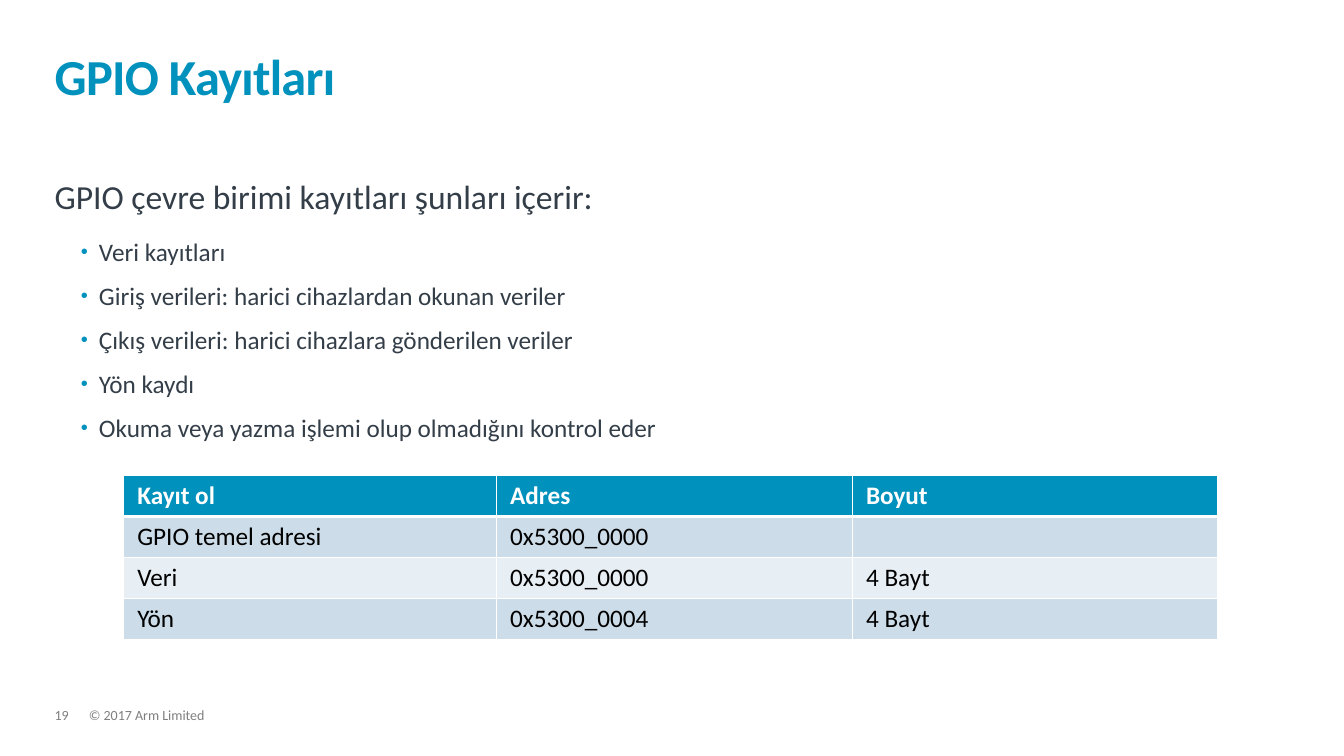
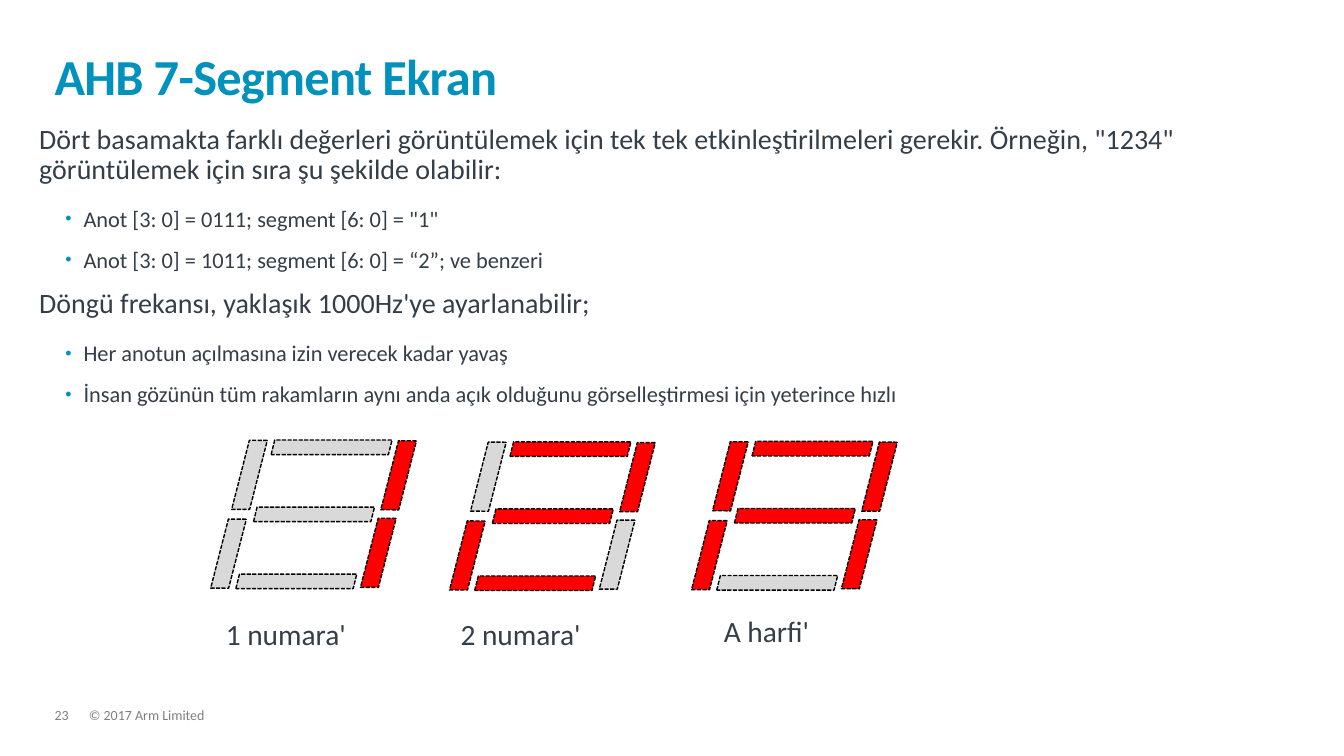
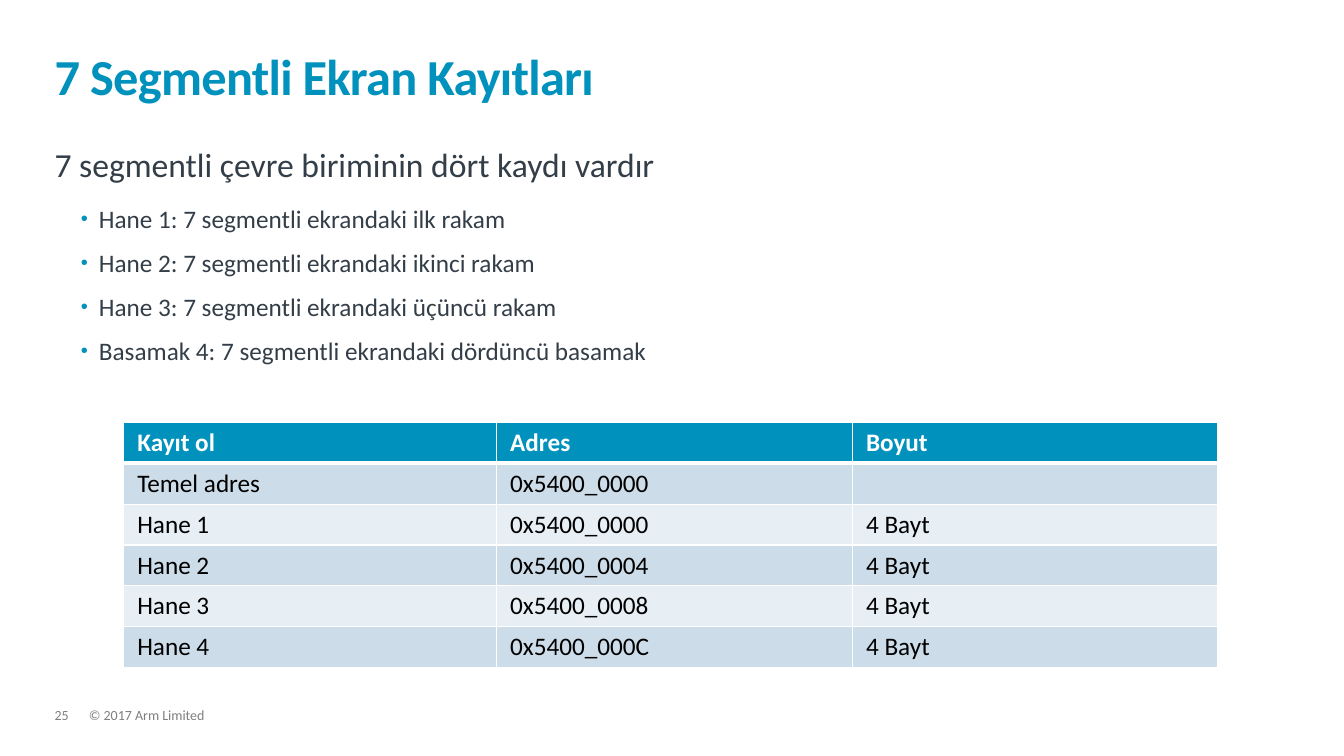
from dataclasses import dataclass
from typing import Any, NamedTuple

from lxml import etree
from pptx import Presentation
from pptx.dml.color import RGBColor
from pptx.enum.dml import MSO_LINE
from pptx.enum.shapes import MSO_SHAPE
from pptx.enum.text import MSO_ANCHOR, MSO_AUTO_SIZE, PP_ALIGN
from pptx.oxml.ns import qn
from pptx.util import Pt

LEFT = PP_ALIGN.LEFT
TOP, MIDDLE, BOTTOM = MSO_ANCHOR.TOP, MSO_ANCHOR.MIDDLE, MSO_ANCHOR.BOTTOM
NO_AUTOFIT = MSO_AUTO_SIZE.NONE
PARALLELOGRAM = MSO_SHAPE.PARALLELOGRAM
SHORT_DASH = MSO_LINE.SQUARE_DOT
TITLE_AND_CONTENT = 1


@dataclass(frozen=True)
class Theme:
    font: str = "Calibri"
    accent: str = "0091BD"
    text: str = "333E48"
    muted: str = "7F7F7F"
    white: str = "FFFFFF"
    black: str = "000000"
    band_dark: str = "CCDCE8"
    band_light: str = "E7EEF4"
    lit: str = "FF0000"
    unlit: str = "D9D9D9"
    title_size: float = 36
    label_size: float = 21
    table_size: float = 18
    footer_size: float = 10


THEME = Theme()


class Box(NamedTuple):
    left: float
    top: float
    width: float
    height: float


class Item(NamedTuple):
    text: str
    level: int = 1


class Segment(NamedTuple):
    box: Box  # relative to the top bar of the digit
    upright: bool = False


class Digit(NamedTuple):
    left: float
    top: float
    lit: str
    label: str
    label_box: Box


@dataclass(frozen=True)
class Page:
    number: int
    title: str
    body_box: Box
    sizes: tuple[float, float]
    items: list[Item]
    table_top: float = 0
    rows: tuple[tuple[str, str, str], ...] = ()
    digits: tuple[Digit, ...] = ()


SLIDE_W, SLIDE_H = 960, 540
MARGIN, CONTENT_W = 39, 880.5
TITLE_BOX = Box(MARGIN, 23, CONTENT_W, 52.5)
NUMBER_BOX = Box(MARGIN, 506, 24.5, 11)
COPYRIGHT_BOX = Box(63.5, 506, 657, 11)

TABLE_LEFT, ROW_H = 88.5, 29.2
COL_WIDTHS = (266.4, 254.2, 260.6)
TABLE_HEADER = ("Kayıt ol", "Adres", "Boyut")

BAR_W, BAR_H, BAR_SHIFT, BAR_STEP = 86.4, 10.4, -12.6, 47.9
UPRIGHT_L, UPRIGHT_T = 54, 12.4
UPRIGHT_ANGLE, UPRIGHT_SLANT = 284.4, 0.25
SEGMENTS = {
    name: Segment(Box(i * BAR_SHIFT, i * BAR_STEP, BAR_W, BAR_H))
    for i, name in enumerate("agd")
} | {
    name: Segment(Box(x, y, UPRIGHT_L, UPRIGHT_T), True)
    for name, x, y in (("f", -42.5, 18.7), ("e", -57.5, 75),
                       ("b", 64, 19), ("c", 49.5, 74.4))
}


def rgb(value: str) -> RGBColor:
    return RGBColor.from_string(value)


def place(sp: Any, box: Box) -> None:
    for name, value in box._asdict().items():
        setattr(sp, name, Pt(value))


def set_all(target: Any, values: dict[str, Any]) -> None:
    for name, value in values.items():
        setattr(target, name, value)


def setup_frame(tf: Any, anchor: Any = TOP) -> None:
    """Remove the insets and fix the size of a text frame."""
    set_all(tf, {"margin_left": 0, "margin_top": 0, "margin_right": 0,
                 "margin_bottom": 0, "word_wrap": True,
                 "auto_size": NO_AUTOFIT, "vertical_anchor": anchor})


def write(p: Any, text: str, size: float, color: str, bold: bool = False,
          spacing: float = 0.9, after: float = 0) -> Any:
    set_all(p, {"alignment": LEFT, "line_spacing": spacing,
                "space_before": Pt(0), "space_after": Pt(after)})
    r = p.add_run()
    r.text = text
    set_all(r.font, {"name": THEME.font, "size": Pt(size), "bold": bold})
    r.font.color.rgb = rgb(color)
    return r


def set_bullet(p: Any, level: int) -> None:
    p.level = level
    pPr = p._p.get_or_add_pPr()
    indent, hang = (31.7, -13) if level else (0, 0)
    pPr.set("marL", str(Pt(indent)))
    pPr.set("indent", str(Pt(hang)))
    if not level:
        etree.SubElement(pPr, qn("a:buNone"))
        return
    color = etree.SubElement(pPr, qn("a:buClr"))
    etree.SubElement(color, qn("a:srgbClr"), val=THEME.accent)
    etree.SubElement(pPr, qn("a:buSzPct"), val="80000")
    etree.SubElement(pPr, qn("a:buFont"), typeface="Arial")
    etree.SubElement(pPr, qn("a:buChar"), char="•")


def add_label(slide: Any, text: str, box: Box, size: float, color: str) -> None:
    sp = slide.shapes.add_textbox(*map(Pt, box))
    setup_frame(sp.text_frame)
    write(sp.text_frame.paragraphs[0], text, size, color)


def add_title(slide: Any, text: str) -> None:
    sp = slide.shapes.title
    place(sp, TITLE_BOX)
    setup_frame(sp.text_frame, BOTTOM)
    r = write(sp.text_frame.paragraphs[0], text, THEME.title_size,
              THEME.accent, bold=True, spacing=0.85)
    r._r.get_or_add_rPr().set("spc", "-50")


def add_body(slide: Any, page: Page) -> None:
    sp = slide.placeholders[1]
    place(sp, page.body_box)
    tf = sp.text_frame
    setup_frame(tf)
    for i, item in enumerate(page.items):
        p = tf.add_paragraph() if i else tf.paragraphs[0]
        set_bullet(p, item.level)
        write(p, item.text, page.sizes[item.level], THEME.text,
              after=12 if item.level else 16)


def set_borders(cell: Any, top: float, bottom: float) -> None:
    tcPr = cell._tc.get_or_add_tcPr()
    for side, width in (("L", 1), ("R", 1), ("T", top), ("B", bottom)):
        ln = etree.SubElement(tcPr, qn(f"a:ln{side}"), w=str(Pt(width)))
        fill = etree.SubElement(ln, qn("a:solidFill"))
        etree.SubElement(fill, qn("a:srgbClr"), val=THEME.white)


def add_register_table(slide: Any, page: Page) -> None:
    rows = (TABLE_HEADER, *page.rows)
    frame = slide.shapes.add_table(
        len(rows), len(COL_WIDTHS), Pt(TABLE_LEFT), Pt(page.table_top),
        Pt(sum(COL_WIDTHS)), Pt(ROW_H * len(rows)))
    table = frame.table
    for column, width in zip(table.columns, COL_WIDTHS):
        column.width = Pt(width)
    for i, row in enumerate(rows):
        table.rows[i].height = Pt(ROW_H)
        header = i == 0
        band = THEME.band_dark if i % 2 else THEME.band_light
        for j, text in enumerate(row):
            cell = table.cell(i, j)
            set_borders(cell, top=3 if i == 1 else 1, bottom=3 if header else 1)
            cell.fill.solid()
            cell.fill.fore_color.rgb = rgb(THEME.accent if header else band)
            set_all(cell, {"margin_left": Pt(9.6), "margin_right": Pt(9.6),
                           "margin_top": Pt(3.6), "margin_bottom": Pt(3.6),
                           "vertical_anchor": TOP if header or j else MIDDLE})
            if text:
                write(cell.text_frame.paragraphs[0], text, THEME.table_size,
                      THEME.white if header else THEME.black,
                      bold=header, spacing=1.0)


def add_digit(slide: Any, digit: Digit) -> None:
    for name, segment in SEGMENTS.items():
        x, y, w, h = segment.box
        sp = slide.shapes.add_shape(PARALLELOGRAM, Pt(digit.left + x),
                                    Pt(digit.top + y), Pt(w), Pt(h))
        sp.shadow.inherit = False
        if segment.upright:
            sp.adjustments[0] = UPRIGHT_SLANT
            sp.rotation = UPRIGHT_ANGLE
            sp._element.spPr.find(qn("a:xfrm")).set("flipH", "1")
        sp.fill.solid()
        sp.fill.fore_color.rgb = rgb(
            THEME.lit if name in digit.lit else THEME.unlit)
        sp.line.color.rgb = rgb(THEME.black)
        set_all(sp.line, {"width": Pt(1), "dash_style": SHORT_DASH})
    add_label(slide, digit.label, digit.label_box, THEME.label_size, THEME.text)


def add_footer(slide: Any, number: int) -> None:
    for text, box in (("© 2017 Arm Limited", COPYRIGHT_BOX),
                      (str(number), NUMBER_BOX)):
        add_label(slide, text, box, THEME.footer_size, THEME.muted)


PAGES = (
    Page(
        19, "GPIO Kayıtları", Box(MARGIN, 129, CONTENT_W, 195), (24, 18),
        [
            Item("GPIO çevre birimi kayıtları şunları içerir:", 0),
            Item("Veri kayıtları"),
            Item("Giriş verileri: harici cihazlardan okunan veriler"),
            Item("Çıkış verileri: harici cihazlara gönderilen veriler"),
            Item("Yön kaydı"),
            Item("Okuma veya yazma işlemi olup olmadığını kontrol eder"),
        ],
        table_top=339.8,
        rows=(
            ("GPIO temel adresi", "0x5300_0000", ""),
            ("Veri", "0x5300_0000", "4 Bayt"),
            ("Yön", "0x5300_0004", "4 Bayt"),
        ),
    ),
    Page(
        23, "AHB 7-Segment Ekran", Box(28, 89.3, CONTENT_W, 322), (20, 16),
        [
            Item("Dört basamakta farklı değerleri görüntülemek için tek tek "
                 "etkinleştirilmeleri gerekir. Örneğin, \"1234\" "
                 "görüntülemek için sıra şu şekilde olabilir:", 0),
            Item("Anot [3: 0] = 0111; segment [6: 0] = \"1\""),
            Item("Anot [3: 0] = 1011; segment [6: 0] = “2”; ve benzeri"),
            Item("Döngü frekansı, yaklaşık 1000Hz'ye ayarlanabilir;", 0),
            Item("Her anotun açılmasına izin verecek kadar yavaş"),
            Item("İnsan gözünün tüm rakamların aynı anda açık olduğunu "
                 "görselleştirmesi için yeterince hızlı"),
        ],
        digits=(
            Digit(193.7, 314.3, "bc", "1 numara'", Box(161.3, 442.8, 96.5, 23)),
            Digit(364.3, 315.6, "abdeg", "2 numara'",
                  Box(329, 442.8, 96.5, 23)),
            Digit(537.2, 315.3, "abcefg", "A harfi'",
                  Box(517, 440.6, 76.3, 23)),
        ),
    ),
    Page(
        25, "7 Segmentli Ekran Kayıtları", Box(MARGIN, 105.8, CONTENT_W, 204.5),
        (24, 18),
        [
            Item("7 segmentli çevre biriminin dört kaydı vardır", 0),
            Item("Hane 1: 7 segmentli ekrandaki ilk rakam"),
            Item("Hane 2: 7 segmentli ekrandaki ikinci rakam"),
            Item("Hane 3: 7 segmentli ekrandaki üçüncü rakam"),
            Item("Basamak 4: 7 segmentli ekrandaki dördüncü basamak"),
        ],
        table_top=301.7,
        rows=(
            ("Temel adres", "0x5400_0000", ""),
            ("Hane 1", "0x5400_0000", "4 Bayt"),
            ("Hane 2", "0x5400_0004", "4 Bayt"),
            ("Hane 3", "0x5400_0008", "4 Bayt"),
            ("Hane 4", "0x5400_000C", "4 Bayt"),
        ),
    ),
)


def main() -> None:
    prs = Presentation()
    prs.slide_width, prs.slide_height = Pt(SLIDE_W), Pt(SLIDE_H)
    layout = prs.slide_layouts[TITLE_AND_CONTENT]
    for page in PAGES:
        slide = prs.slides.add_slide(layout)
        add_footer(slide, page.number)
        add_title(slide, page.title)
        add_body(slide, page)
        if page.rows:
            add_register_table(slide, page)
        for digit in page.digits:
            add_digit(slide, digit)
    prs.save("out.pptx")


if __name__ == "__main__":
    main()
